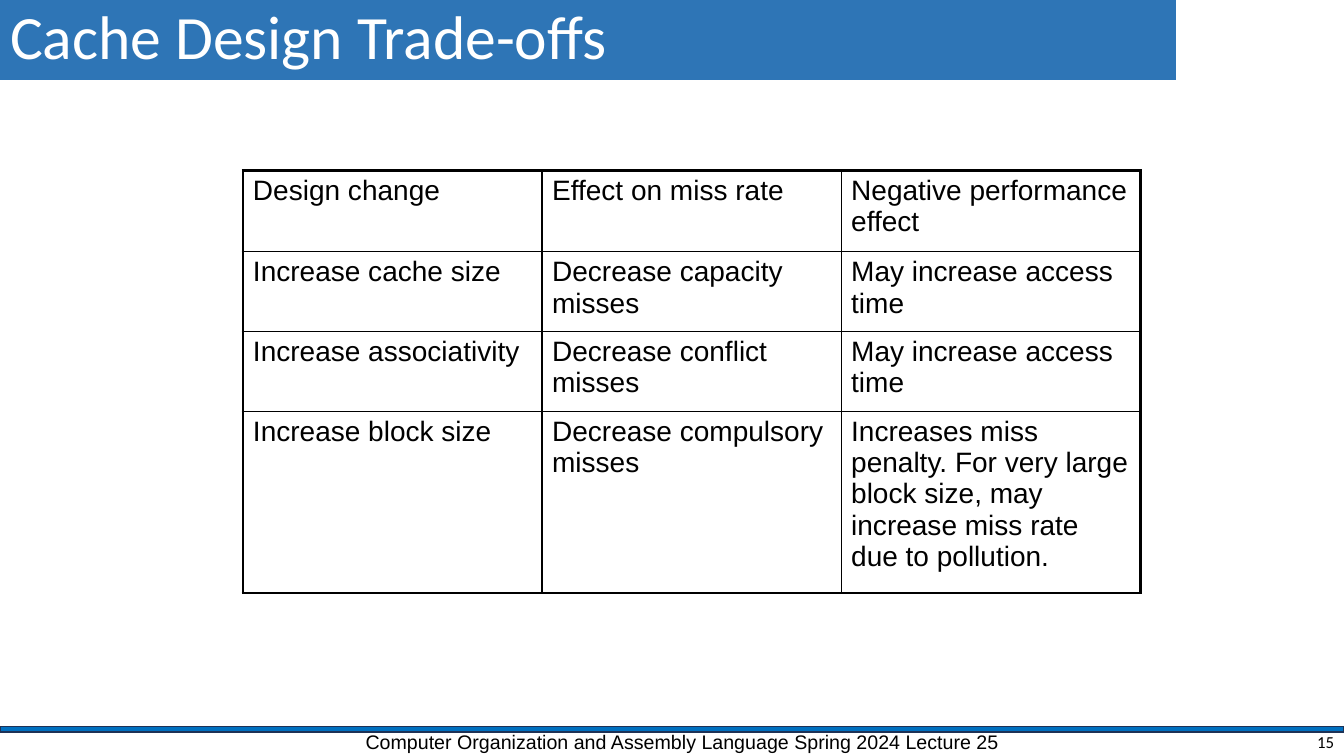
from lxml.etree import SubElement
from pptx import Presentation
from pptx.dml.color import RGBColor as RGB
from pptx.enum.shapes import MSO_SHAPE as SHAPE
from pptx.enum.text import MSO_ANCHOR as ANCHOR, MSO_AUTO_SIZE as AUTO, PP_ALIGN as ALIGN
from pptx.oxml.ns import qn
from pptx.util import Pt

COLORS = {"title": "2E75B6", "bar": "0070C0", "edge": "1E3256", "text": "000000", "white": "FFFFFF"}
TRADE_OFFS = [
    ("Design change", "Effect on miss rate", "Negative performance effect"),
    ("Increase cache size", "Decrease capacity misses", "May increase access time"),
    ("Increase associativity", "Decrease conflict misses", "May increase access time"),
    ("Increase block size", "Decrease compulsory misses",
     "Increases miss penalty. For very large block size, may increase miss rate due to pollution."),
]
ROW_HEIGHTS = [58, 57, 57, 130]
ROW_RULES = [2.25, 1.5, 1, 1, 2.25]
COLUMN_RULES = [2.25, 1, 1, 2.25]


def rgb(name):
    """Return the named colour."""
    return RGB.from_string(COLORS[name])


def write(tf, text, size, font="Arial", color="text", align=ALIGN.LEFT, **frame):
    """Fill a text frame with one formatted paragraph."""
    for name, value in {"word_wrap": True, **frame}.items():
        setattr(tf, name, value)
    p = tf.paragraphs[0]
    p.alignment = align
    r = p.add_run()
    r.text = text
    for name, value in {"size": Pt(size), "name": font, "bold": False}.items():
        setattr(r.font, name, value)
    r.font.color.rgb = rgb(color)
    return p


def add_title(s, text, x, y, w, h):
    """Place the title placeholder as a filled band."""
    sp = s.shapes.title
    for name, value in {"left": x, "top": y, "width": w, "height": h}.items():
        setattr(sp, name, Pt(value))
    sp.fill.solid()
    sp.fill.fore_color.rgb = rgb("title")
    p = write(sp.text_frame, text, 44, "Calibri", "white",
              auto_size=AUTO.NONE, vertical_anchor=ANCHOR.MIDDLE)
    p.line_spacing = 0.9


def set_borders(cell, row, col):
    """Draw the four edges of a cell from the table rules."""
    widths = {"L": COLUMN_RULES[col], "R": COLUMN_RULES[col + 1],
              "T": ROW_RULES[row], "B": ROW_RULES[row + 1]}
    tc_pr = cell._tc.get_or_add_tcPr()
    for side, width in widths.items():
        ln = SubElement(tc_pr, qn(f"a:ln{side}"), w=str(Pt(width)))
        fill = SubElement(ln, qn("a:solidFill"))
        SubElement(fill, qn("a:srgbClr"), val=COLORS["text"])


def add_trade_offs(s, x, y, w):
    """Add the trade-off table with equal columns."""
    frame = s.shapes.add_table(len(TRADE_OFFS), len(TRADE_OFFS[0]),
                               Pt(x), Pt(y), Pt(w), Pt(sum(ROW_HEIGHTS)))
    table = frame.table
    table.first_row = table.horz_banding = False
    for row, (texts, height) in enumerate(zip(TRADE_OFFS, ROW_HEIGHTS)):
        table.rows[row].height = Pt(height)
        for col, text in enumerate(texts):
            cell = table.cell(row, col)
            set_borders(cell, row, col)
            cell.fill.background()
            write(cell.text_frame, text, 20)


def add_footer(s, x, y, w):
    """Add the footer bar, course line and page number."""
    bar = s.shapes.add_shape(SHAPE.RECTANGLE, Pt(x), Pt(y), Pt(w), Pt(4))
    bar.shadow.inherit = False
    bar.fill.solid()
    bar.fill.fore_color.rgb = rgb("bar")
    bar.line.color.rgb = rgb("edge")
    bar.line.width = Pt(1)
    course = s.shapes.add_textbox(Pt(x + 254), Pt(y - 1.5), Pt(472), Pt(22))
    write(course.text_frame, "Computer Organization and Assembly Language Spring 2024 Lecture 25", 14)
    number = s.shapes.add_textbox(Pt(x + w - 216), Pt(y + 2), Pt(216), Pt(18))
    write(number.text_frame, "15", 12, "Calibri", align=ALIGN.RIGHT, vertical_anchor=ANCHOR.MIDDLE)


def main():
    """Build and save the slide."""
    prs = Presentation()
    prs.slide_width, prs.slide_height = Pt(960), Pt(540)
    s = prs.slides.add_slide(prs.slide_layouts[5])
    add_footer(s, 0, 519, 960)
    add_title(s, "Cache Design Trade-offs", 0, 0, 840, 57)
    add_trade_offs(s, 173.5, 121.7, 641)
    prs.save("out.pptx")


if __name__ == "__main__":
    main()
